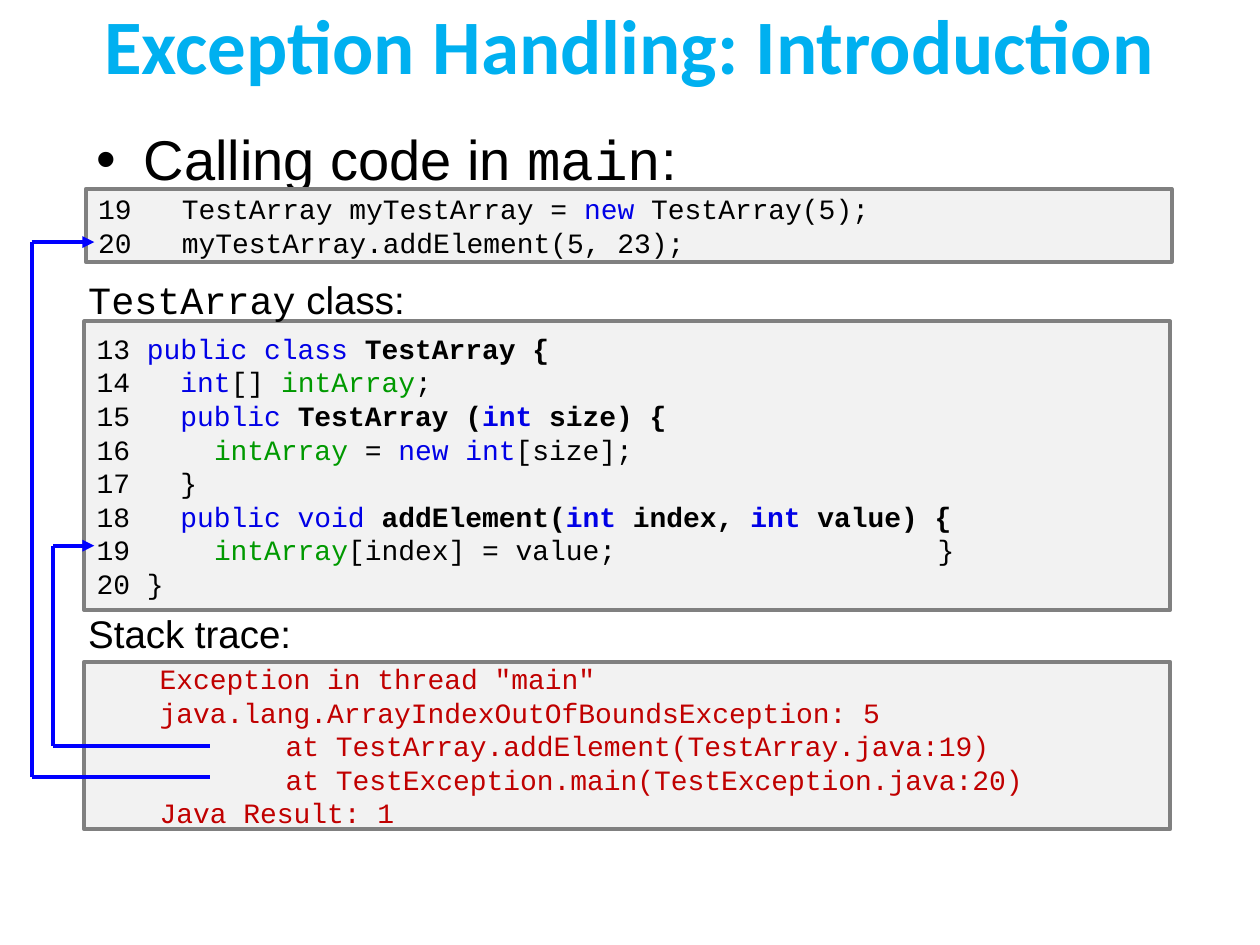
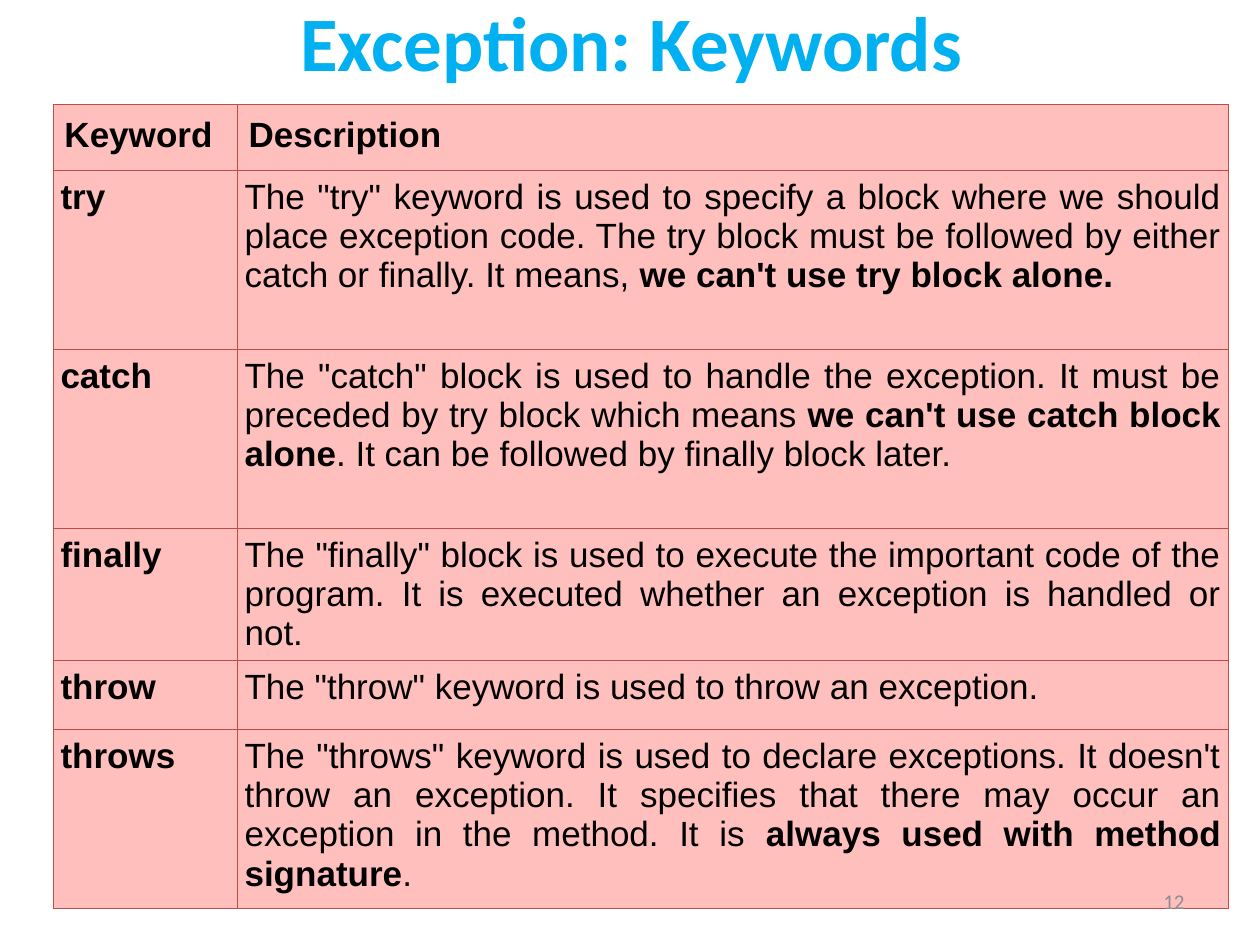
from dataclasses import dataclass
from typing import NamedTuple, Optional

from lxml.etree import SubElement
from pptx import Presentation
from pptx.dml.color import RGBColor
from pptx.enum.shapes import MSO_CONNECTOR as Connector, MSO_SHAPE as Preset
from pptx.enum.text import MSO_ANCHOR as Anchor, MSO_AUTO_SIZE as AutoSize, PP_ALIGN as Align
from pptx.oxml.ns import qn
from pptx.util import Cm, Pt


# Shared look
@dataclass(frozen=True)
class Theme:
    title: str = "00B0F0"
    ink: str = "000000"
    keyword: str = "0000E6"
    field: str = "009900"
    error: str = "C00000"
    panel: str = "F2F2F2"
    panel_edge: str = "808080"
    trace: str = "0000FF"
    cell: str = "FFBFBD"
    cell_edge: str = "BF4C48"
    page: str = "8C8C8C"
    head_font: str = "Calibri"
    body_font: str = "Arial"
    code_font: str = "Courier New"
    title_size: int = 44
    bullet_size: int = 32
    label_size: int = 22
    table_size: int = 20
    code_size: int = 16
    page_size: int = 12
    line_width: float = 2.25
    cell_line_width: float = 0.75


THEME = Theme()


class Box(NamedTuple):
    """Left, top, width and height in centimetres."""
    left: float
    top: float
    width: float
    height: float

    def lengths(self) -> list:
        return [Cm(value) for value in self]


class Span(NamedTuple):
    text: str
    color: str = THEME.ink
    bold: bool = False
    font: str = THEME.body_font


@dataclass(frozen=True)
class Line:
    spans: list
    indent: float = 0
    tab_stop: Optional[float] = None


@dataclass(frozen=True)
class CodePanel:
    box: Box
    lines: list


@dataclass(frozen=True)
class Label:
    box: Box
    spans: list


@dataclass(frozen=True)
class TraceLink:
    """Bracket from a stack trace line back to the code line."""
    spine: float
    code_y: float
    trace_y: float


class KeywordRow(NamedTuple):
    keyword: str
    description: list
    height: float


def code(text: str, color: str = THEME.ink, bold: bool = False) -> Span:
    return Span(text, color, bold, THEME.code_font)


def reserved(text: str, bold: bool = False) -> Span:
    return code(text, THEME.keyword, bold)


def member(text: str) -> Span:
    return code(text, THEME.field)


def strong(text: str) -> Span:
    return code(text, bold=True)


def rgb(color: str) -> RGBColor:
    return RGBColor.from_string(color)


# Text helpers
def write(paragraph, spans: list, size: float, align=Align.LEFT) -> None:
    paragraph.alignment = align
    for span in spans:
        run = paragraph.add_run()
        run.text = span.text
        run.font.size = Pt(size)
        run.font.name = span.font
        run.font.bold = span.bold
        run.font.color.rgb = rgb(span.color)


def set_frame(frame, side: float, top: float, anchor=Anchor.TOP) -> None:
    frame.word_wrap = True
    frame.auto_size = AutoSize.NONE
    frame.vertical_anchor = anchor
    frame.margin_left = frame.margin_right = Cm(side)
    frame.margin_top = frame.margin_bottom = Cm(top)


def add_text(slide, box: Box, spans: list, size: float, side: float = 0.25,
             top: float = 0.13, anchor=Anchor.TOP, align=Align.LEFT):
    frame = slide.shapes.add_textbox(*box.lengths()).text_frame
    set_frame(frame, side, top, anchor)
    write(frame.paragraphs[0], spans, size, align)
    return frame.paragraphs[0]


def titled_slide(deck, text: str, box: Box):
    slide = deck.slides.add_slide(deck.slide_layouts[5])
    title = slide.shapes.title
    title.left, title.top, title.width, title.height = box.lengths()
    set_frame(title.text_frame, 0.25, 0.13, Anchor.MIDDLE)
    write(title.text_frame.paragraphs[0],
          [Span(text, THEME.title, True, THEME.head_font)], THEME.title_size, Align.CENTER)
    return slide


def add_bullet(slide, box: Box, spans: list) -> None:
    paragraph = add_text(slide, box, spans, THEME.bullet_size)
    paragraph.space_before = Pt(THEME.bullet_size * 0.2)
    hang = Cm(0.95)
    props = paragraph._p.get_or_add_pPr()
    props.set("marL", str(hang))
    props.set("indent", str(-hang))
    SubElement(props, qn("a:buFont"), typeface=THEME.body_font)
    SubElement(props, qn("a:buChar"), char="•")


# Code panels and trace links
def draw_panel(slide, panel: CodePanel) -> None:
    shape = slide.shapes.add_shape(Preset.RECTANGLE, *panel.box.lengths())
    shape.shadow.inherit = False
    shape.fill.solid()
    shape.fill.fore_color.rgb = rgb(THEME.panel)
    shape.line.color.rgb = rgb(THEME.panel_edge)
    shape.line.width = Pt(THEME.line_width)
    frame = shape.text_frame
    set_frame(frame, 0.25, 0.03, Anchor.MIDDLE)
    for number, line in enumerate(panel.lines):
        paragraph = frame.add_paragraph() if number else frame.paragraphs[0]
        write(paragraph, line.spans, THEME.code_size)
        props = paragraph._p.get_or_add_pPr()
        props.set("marL", str(Cm(line.indent)))
        if line.tab_stop:
            stops = SubElement(props, qn("a:tabLst"))
            SubElement(stops, qn("a:tab"), pos=str(Cm(line.tab_stop)), algn="l")


def draw_line(slide, start: tuple, end: tuple, arrow: bool = False) -> None:
    line = slide.shapes.add_connector(
        Connector.STRAIGHT, *[Cm(value) for value in (*start, *end)])
    line.line.color.rgb = rgb(THEME.trace)
    line.line.width = Pt(THEME.line_width)
    if arrow:
        SubElement(line.line._get_or_add_ln(), qn("a:tailEnd"), type="triangle")
    SubElement(line._element.spPr, qn("a:effectLst"))


def draw_link(slide, link: TraceLink) -> None:
    code_end, trace_end = 1.9, 4.24
    upper, lower = (link.spine, link.code_y), (link.spine, link.trace_y)
    draw_line(slide, upper, (code_end, link.code_y), arrow=True)
    draw_line(slide, upper, lower)
    draw_line(slide, lower, (trace_end, link.trace_y))


# Keyword table
def format_cell(cell, spans: list, margin: float, align) -> None:
    cell.margin_left = cell.margin_right = Cm(margin)
    cell.margin_top = cell.margin_bottom = Cm(margin)
    write(cell.text_frame.paragraphs[0], spans, THEME.table_size, align)
    props = cell._tc.get_or_add_tcPr()
    for side in ("lnL", "lnR", "lnT", "lnB"):
        edge = SubElement(props, qn(f"a:{side}"), w=str(Pt(THEME.cell_line_width)))
        SubElement(SubElement(edge, qn("a:solidFill")), qn("a:srgbClr"), val=THEME.cell_edge)
    cell.fill.solid()
    cell.fill.fore_color.rgb = rgb(THEME.cell)


def draw_keywords(slide, left: float, top: float, widths: tuple, rows: list) -> None:
    box = Box(left, top, sum(widths), sum(row.height for row in rows))
    table = slide.shapes.add_table(len(rows), len(widths), *box.lengths()).table
    table.first_row = table.horz_banding = False
    for column, width in zip(table.columns, widths):
        column.width = Cm(width)
    for number, row in enumerate(rows):
        table.rows[number].height = Cm(row.height)
        margin = 0.15 if number else 0.23
        format_cell(table.cell(number, 0), [Span(row.keyword, bold=True)], margin, Align.LEFT)
        format_cell(table.cell(number, 1), row.description, margin,
                    Align.JUSTIFY if number else Align.LEFT)


# Content
CALL_CODE = CodePanel(Box(1.73, 3.81, 21.89, 1.47), [
    Line([code("19   TestArray myTestArray = "), reserved("new"), code(" TestArray(5);")]),
    Line([code("20   myTestArray.addElement(5, 23);")]),
])
CLASS_CODE = CodePanel(Box(1.7, 6.48, 21.89, 5.82), [
    Line([code("13 "), reserved("public class "), strong("TestArray {")]),
    Line([code("14   "), reserved("int"), code("[] "), member("intArray"), code(";")]),
    Line([code("15   "), reserved("public "), strong("TestArray ("),
          reserved("int", True), strong(" size) {")]),
    Line([code("16     "), member("intArray"), code(" = "), reserved("new int"),
          code("[size];")]),
    Line([code("17   }")]),
    Line([code("18   "), reserved("public void "), strong("addElement("),
          reserved("int", True), strong(" index, "), reserved("int", True),
          strong(" value) {")]),
    Line([code("19     "), member("intArray"), code("[index] = value;\t}")], tab_stop=16.95),
    Line([code("20 }")]),
])
STACK_TRACE = CodePanel(Box(1.7, 13.34, 21.89, 3.38), [
    Line([code(text, THEME.error)], indent) for text, indent in (
        ('Exception in thread "main" java.lang.ArrayIndexOutOfBoundsException: 5', 1.27),
        ("at TestArray.addElement(TestArray.java:19)", 3.81),
        ("at TestException.main(TestException.java:20)", 3.81),
        ("Java Result: 1", 1.27),
    )
])
LABELS = [
    Label(Box(1.7, 5.54, 22, 1.02), [code("TestArray"), Span(" class:")]),
    Label(Box(1.7, 12.27, 22, 1.02), [Span("Stack trace:")]),
]
LINKS = [TraceLink(1.07, 11, 15.04), TraceLink(0.64, 4.88, 15.67)]
KEYWORDS = [
    KeywordRow("Keyword", [Span("Description", bold=True)], 1.32),
    KeywordRow("try", [
        Span('The "try" keyword is used to specify a block where we should place exception '
             "code. The try block must be followed by either catch or finally. It means,"),
        Span(" we can't use try block alone.", bold=True)], 3.61),
    KeywordRow("catch", [
        Span('The "catch" block is used to handle the exception. It must be preceded by '
             "try block which means "),
        Span("we can't use catch block alone", bold=True),
        Span(". It can be followed by finally block later.")], 3.61),
    KeywordRow("finally", [
        Span('The "finally" block is used to execute the important code of the program. '
             "It is executed whether an exception is handled or not.")], 2.49),
    KeywordRow("throw", [Span('The "throw" keyword is used to throw an exception.')], 1.4),
    KeywordRow("throws", [
        Span('The "throws" keyword is used to declare exceptions. It doesn\'t throw an '
             "exception. It specifies that there may occur an exception in the method. It is "),
        Span("always used with method signature", bold=True), Span(".")], 3.61),
]

deck = Presentation()
deck.slide_width, deck.slide_height = Cm(25.4), Cm(19.05)

# Slide: introduction
intro = titled_slide(deck, "Exception Handling: Introduction", Box(1.27, 0, 22.86, 1.78))
add_bullet(intro, Box(1.7, 2.39, 22, 1.02),
           [Span("Calling code in "), code("main"), Span(":")])
for panel in (CALL_CODE, CLASS_CODE, STACK_TRACE):
    draw_panel(intro, panel)
for label in LABELS:
    add_text(intro, label.box, label.spans, THEME.label_size, side=0.08, top=0.03)
for link in LINKS:
    draw_link(intro, link)

# Slide: keywords
keywords = titled_slide(deck, "Exception: Keywords ", Box(0.84, 0, 24.13, 1.63))
draw_keywords(keywords, 1.07, 2.11, (3.71, 19.99), KEYWORDS)
add_text(keywords, Box(18.21, 17.65, 5.92, 1.02),
         [Span("12", THEME.page, font=THEME.head_font)], THEME.page_size,
         anchor=Anchor.MIDDLE, align=Align.RIGHT)

deck.save("out.pptx")
